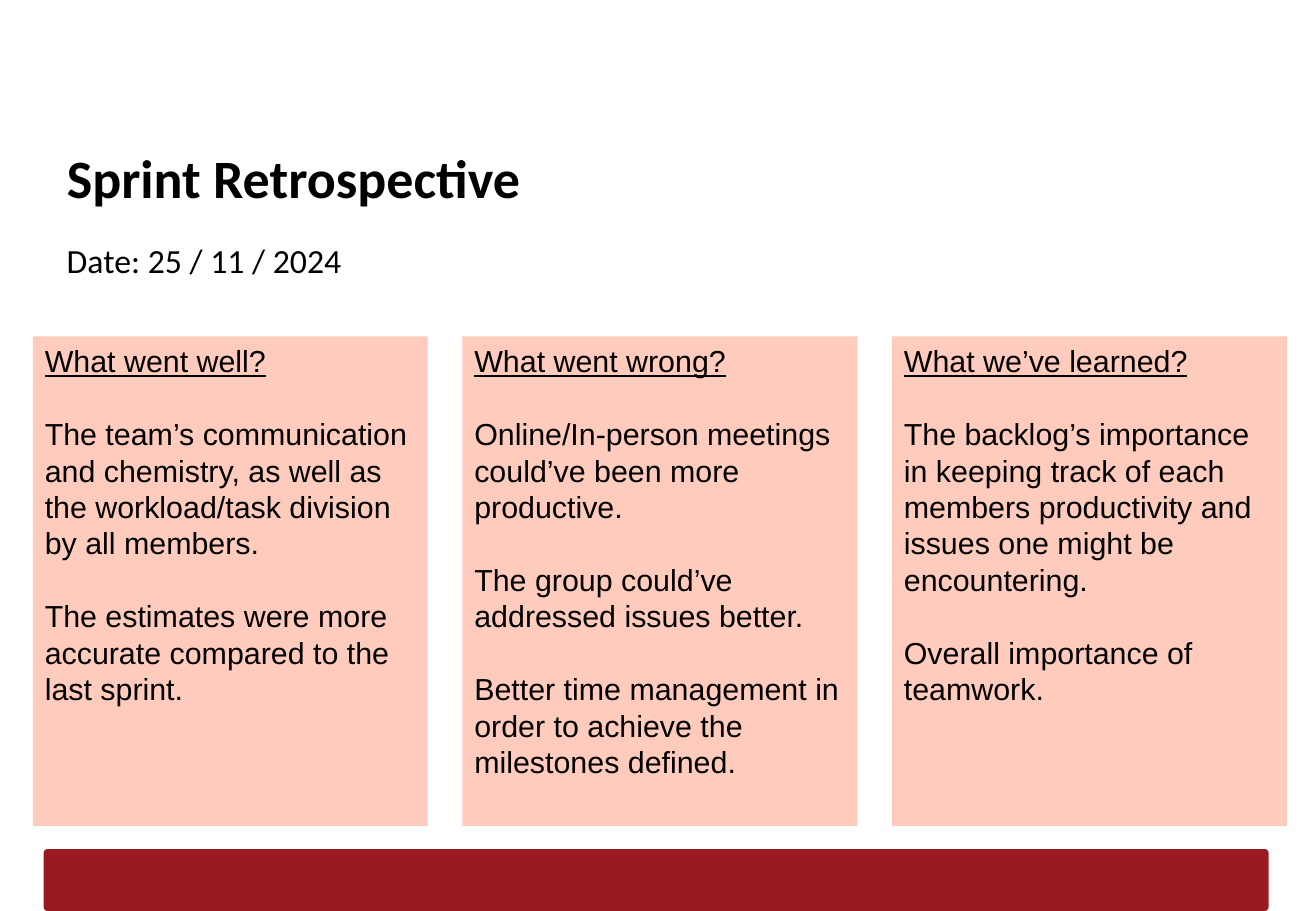
from dataclasses import dataclass

from pptx import Presentation
from pptx.dml.color import RGBColor
from pptx.enum.shapes import MSO_SHAPE
from pptx.enum.text import MSO_ANCHOR, PP_ALIGN
from pptx.util import Inches, Pt

# Content
TITLE = "Sprint Retrospective"
DATE = "Date: 25 / 11 / 2024"
COLUMNS = [
    ("What went well?", [
        "The team’s communication and chemistry, as well as the workload/task division by all members.",
        "The estimates were more accurate compared to the last sprint."]),
    ("What went wrong?", [
        "Online/In-person meetings could’ve been more productive.",
        "The group could’ve addressed issues better.",
        "Better time management in order to achieve the milestones defined."]),
    ("What we’ve learned?", [
        "The backlog’s importance in keeping track of each members productivity and issues one might be encountering.",
        "Overall importance of teamwork."]),
]


@dataclass(frozen=True)
class Theme:
    ink: RGBColor = RGBColor(0x00, 0x00, 0x00)
    panel: RGBColor = RGBColor(0xFF, 0xCB, 0xBD)
    bar: RGBColor = RGBColor(0x9A, 0x1A, 0x24)
    heading_font: str = "Calibri"
    panel_font: str = "Arial"
    title_size: int = 32
    date_size: int = 20
    panel_size: int = 18
    panel_leading: float = 21.6


THEME = Theme()

# Grid, in inches
WIDTH, HEIGHT = 10.83, 7.5
HEADING_LEFT, HEADING_WIDTH = 0.45, 9.89
PANEL_LEFT, PANEL_TOP, PANEL_WIDTH, PANEL_HEIGHT = 0.27, 2.77, 3.25, 4.03
PANEL_GAP = 0.285
BAR_BOX = (0.36, 6.99, 10.08, 0.51)


def set_format(target, values):
    for name, value in values.items():
        setattr(target, name, value)


def place(shape, left, top, width, height):
    set_format(shape, {"left": Inches(left), "top": Inches(top),
                       "width": Inches(width), "height": Inches(height)})


def set_frame(shape, side, edge):
    set_format(shape.text_frame, {
        "word_wrap": True, "vertical_anchor": MSO_ANCHOR.TOP,
        "margin_left": Inches(side), "margin_right": Inches(side),
        "margin_top": Inches(edge), "margin_bottom": Inches(edge)})


def write(paragraph, text, font, size, **extra):
    paragraph.alignment = PP_ALIGN.LEFT
    run = paragraph.add_run()
    run.text = text
    run.font.color.rgb = THEME.ink
    set_format(run.font, {"name": font, "size": Pt(size), **extra})


def add_block(slide, kind, box, color):
    shape = slide.shapes.add_shape(kind, *map(Inches, box))
    shape.shadow.inherit = False
    shape.fill.solid()
    shape.fill.fore_color.rgb = color
    shape.line.fill.background()
    return shape


def add_panel(slide, index, heading, points):
    left = PANEL_LEFT + index * (PANEL_WIDTH + PANEL_GAP)
    panel = add_block(slide, MSO_SHAPE.RECTANGLE,
                      (left, PANEL_TOP, PANEL_WIDTH, PANEL_HEIGHT), THEME.panel)
    set_frame(panel, 0.1, 0.05)
    frame = panel.text_frame
    for row, text in enumerate([heading, *points]):
        paragraph = frame.add_paragraph() if row else frame.paragraphs[0]
        set_format(paragraph, {
            "line_spacing": Pt(THEME.panel_leading),
            "space_before": Pt(THEME.panel_leading if row else 0)})
        write(paragraph, text, THEME.panel_font, THEME.panel_size, underline=row == 0)


def main():
    presentation = Presentation()
    set_format(presentation, {"slide_width": Inches(WIDTH), "slide_height": Inches(HEIGHT)})
    slide = presentation.slides.add_slide(presentation.slide_layouts[5])

    # Footer bar
    bar = add_block(slide, MSO_SHAPE.ROUNDED_RECTANGLE, BAR_BOX, THEME.bar)
    bar.adjustments[0] = 0.06

    # Title and date
    title = slide.shapes.title
    date = slide.shapes.add_textbox(0, 0, 0, 0)
    for shape, text, top, height, size, bold in (
            (title, TITLE, 1.09, 0.63, THEME.title_size, True),
            (date, DATE, 1.87, 0.6, THEME.date_size, False)):
        place(shape, HEADING_LEFT, top, HEADING_WIDTH, height)
        set_frame(shape, 0.1, 0.1)
        write(shape.text_frame.paragraphs[0], text, THEME.heading_font, size, bold=bold)

    # Three panels
    for index, (heading, points) in enumerate(COLUMNS):
        add_panel(slide, index, heading, points)

    presentation.save("out.pptx")


if __name__ == "__main__":
    main()
